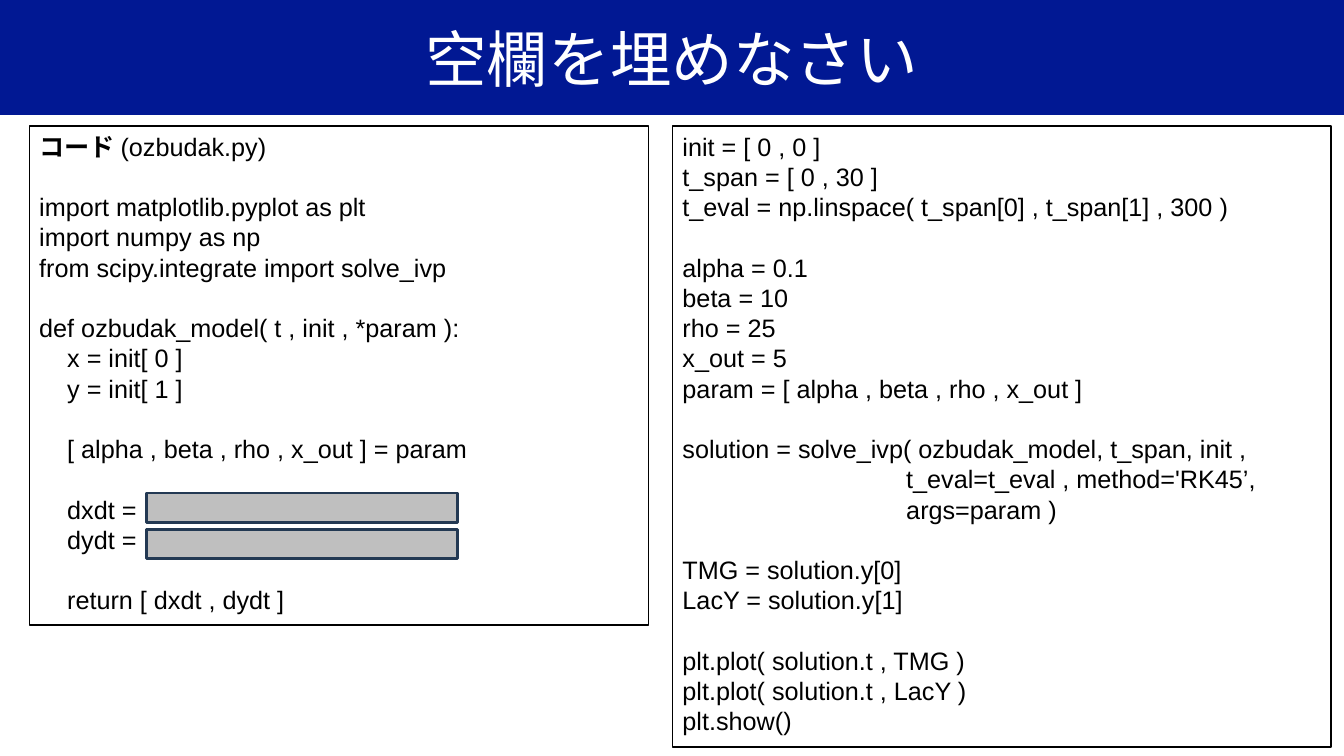
import pptx
import pptx.dml.color
import pptx.enum.shapes
import pptx.enum.text
import pptx.oxml.ns
import pptx.util
from dataclasses import dataclass
from typing import Optional
from lxml import etree

RGBColor = pptx.dml.color.RGBColor
NAVY = RGBColor(0x01, 0x18, 0x93)
WHITE = RGBColor(0xFF, 0xFF, 0xFF)
BLACK = RGBColor(0x00, 0x00, 0x00)
GRAY = RGBColor(0xBF, 0xBF, 0xBF)
SLATE = RGBColor(0x23, 0x39, 0x53)

LATIN_FONT = "Arial"
JAPANESE_FONT = "Noto Sans CJK JP"
SLIDE_W = pptx.util.Inches(13.33)
SLIDE_H = pptx.util.Inches(7.5)
CODE_SIZE = pptx.util.Pt(18)
LINE_PITCH = pptx.util.Pt(21.6)

MODEL_CODE = """(ozbudak.py)

import matplotlib.pyplot as plt
import numpy as np
from scipy.integrate import solve_ivp

def ozbudak_model( t , init , *param ):
    x = init[ 0 ]
    y = init[ 1 ]

    [ alpha , beta , rho , x_out ] = param

    dxdt =
    dydt =

    return [ dxdt , dydt ]"""

SOLVER_CODE = """init = [ 0 , 0 ]
t_span = [ 0 , 30 ]
t_eval = np.linspace( t_span[0] , t_span[1] , 300 )

alpha = 0.1
beta = 10
rho = 25
x_out = 5
param = [ alpha , beta , rho , x_out ]

solution = solve_ivp( ozbudak_model, t_span, init ,
                                t_eval=t_eval , method='RK45’,
                                args=param )

TMG = solution.y[0]
LacY = solution.y[1]

plt.plot( solution.t , TMG )
plt.plot( solution.t , LacY )
plt.show()"""


@dataclass(frozen=True)
class Area:
    """Left, top, width and height in percent of the slide."""
    x: float
    y: float
    w: float
    h: float


@dataclass(frozen=True)
class CodePanel:
    area: Area
    code: str
    heading: str = ""


TITLE_AREA = Area(0, 0, 100, 15.2)
PANELS = [
    CodePanel(Area(2.18, 16.67, 46.06, 66), MODEL_CODE, "コード "),
    CodePanel(Area(50.04, 16.67, 48.99, 82.13), SOLVER_CODE),
]
ANSWER_BLANKS = [Area(10.88, 65.2 + 4.8 * row, 23.18, 3.87) for row in range(2)]


def add_box(slide, area: Area, fill: Optional[RGBColor] = None,
            line: Optional[RGBColor] = None, width: float = 1):
    sp = slide.shapes.add_shape(
        pptx.enum.shapes.MSO_SHAPE.RECTANGLE,
        int(SLIDE_W * area.x / 100), int(SLIDE_H * area.y / 100),
        int(SLIDE_W * area.w / 100), int(SLIDE_H * area.h / 100))
    sp.shadow.inherit = False
    if fill is None:
        sp.fill.background()
    else:
        sp.fill.solid()
        sp.fill.fore_color.rgb = fill
    if line is None:
        sp.line.fill.background()
    else:
        sp.line.color.rgb = line
        sp.line.width = pptx.util.Pt(width)
    return sp


def format_run(r, size: int, color: RGBColor, font: str = LATIN_FONT,
               bold: bool = False) -> None:
    r.font.size = size
    r.font.bold = bold
    r.font.color.rgb = color
    r.font.name = font
    ea = etree.SubElement(r.font._element, pptx.oxml.ns.qn("a:ea"))
    ea.set("typeface", JAPANESE_FONT)


def add_title(slide, text: str) -> None:
    tf = add_box(slide, TITLE_AREA, fill=NAVY).text_frame
    tf.margin_left = tf.margin_right = tf.margin_top = tf.margin_bottom = 0
    tf.vertical_anchor = pptx.enum.text.MSO_ANCHOR.MIDDLE
    tf.text = text
    p = tf.paragraphs[0]
    p.alignment = pptx.enum.text.PP_ALIGN.CENTER
    format_run(p.runs[0], pptx.util.Pt(44), WHITE)


def add_code_panel(slide, panel: CodePanel) -> None:
    tf = add_box(slide, panel.area, line=BLACK).text_frame
    tf.word_wrap = True
    tf.vertical_anchor = pptx.enum.text.MSO_ANCHOR.TOP
    after_gap = False
    for i, line in enumerate(panel.code.splitlines()):
        if not line:
            after_gap = True
            continue
        p = tf.add_paragraph() if i else tf.paragraphs[0]
        p.alignment = pptx.enum.text.PP_ALIGN.LEFT
        p.line_spacing = LINE_PITCH
        p.space_before = LINE_PITCH if after_gap else 0
        after_gap = False
        if i == 0 and panel.heading:
            r = p.add_run()
            r.text = panel.heading
            format_run(r, CODE_SIZE, BLACK, JAPANESE_FONT, True)
        r = p.add_run()
        r.text = line
        format_run(r, CODE_SIZE, BLACK)


def main() -> None:
    prs = pptx.Presentation()
    prs.slide_width, prs.slide_height = SLIDE_W, SLIDE_H
    s = prs.slides.add_slide(prs.slide_layouts[6])
    add_title(s, "空欄を埋めなさい")
    for panel in PANELS:
        add_code_panel(s, panel)
    for area in ANSWER_BLANKS:
        add_box(s, area, fill=GRAY, line=SLATE, width=2)
    prs.save("out.pptx")


if __name__ == "__main__":
    main()
